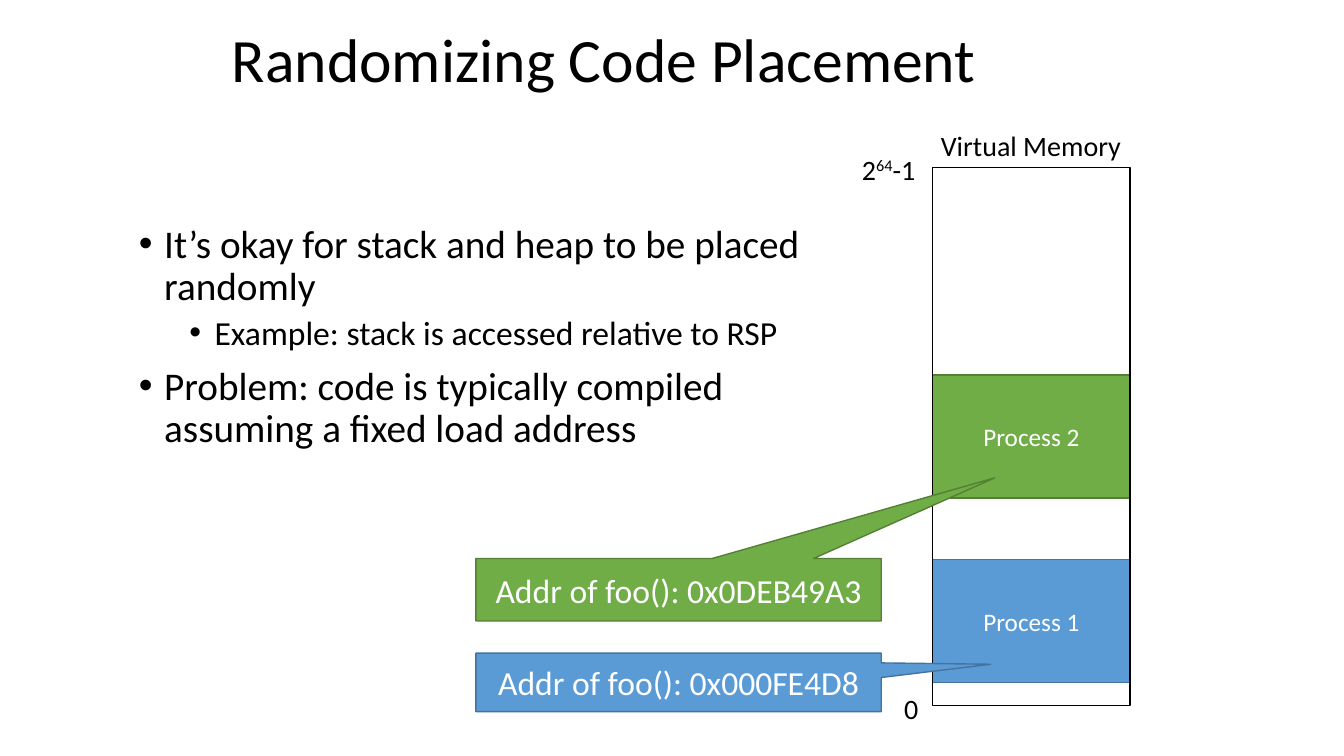
from dataclasses import dataclass

import pptx
import pptx.util
import pptx.dml.color
import pptx.enum.shapes
import pptx.enum.text
import pptx.oxml.ns
import lxml.etree
from pptx.util import Inches

SHAPE = pptx.enum.shapes.MSO_SHAPE
ALIGN = pptx.enum.text.PP_ALIGN
ANCHOR = pptx.enum.text.MSO_ANCHOR
FIT = pptx.enum.text.MSO_AUTO_SIZE
FONT = "Calibri"
COLORS = {
    "black": "000000",
    "white": "FFFFFF",
    "blue": "5B9BD5",
    "navy": "43739E",
    "green": "70AD47",
    "moss": "538035",
}
MEM_LEFT, MEM_WIDTH = 9.25, 1.96


@dataclass
class Box:
    left: float
    top: float
    width: float
    height: float


@dataclass
class Block:
    box: Box
    line: str
    fill: str = ""
    text: str = ""
    size: int = 18
    tip: tuple[float, float] | None = None


@dataclass
class Label:
    box: Box
    texts: list[str]
    align: ALIGN = ALIGN.LEFT


@dataclass
class Bullet:
    text: str
    size: int
    indent: float
    before: int
    level: int = 0


def color(name: str) -> pptx.dml.color.RGBColor:
    return pptx.dml.color.RGBColor.from_string(COLORS[name])


def span(box: Box) -> list[int]:
    return [Inches(n) for n in (box.left, box.top, box.width, box.height)]


def style(para, size: int, shade: str, align: ALIGN) -> None:
    para.alignment = align
    para.font.name = FONT
    para.font.size = pptx.util.Pt(size)
    para.font.color.rgb = color(shade)


def add_title(slide, text: str, box: Box) -> None:
    title = slide.shapes.title
    title.left, title.top, title.width, title.height = span(box)
    frame = title.text_frame
    frame.text = text
    frame.auto_size = FIT.NONE
    frame.vertical_anchor = ANCHOR.MIDDLE
    style(frame.paragraphs[0], 44, "black", ALIGN.LEFT)
    frame.paragraphs[0].line_spacing = 0.9


def add_bullets(slide, bullets: list[Bullet], box: Box) -> None:
    frame = slide.shapes.add_textbox(*span(box)).text_frame
    frame.word_wrap = True
    frame.vertical_anchor = ANCHOR.MIDDLE
    for i, item in enumerate(bullets):
        para = frame.add_paragraph() if i else frame.paragraphs[0]
        para.text = item.text
        para.level = item.level
        style(para, item.size, "black", ALIGN.LEFT)
        para.line_spacing = 0.9
        para.space_before = pptx.util.Pt(item.before)
        props = para._p.get_or_add_pPr()
        props.set("marL", str(Inches(item.indent)))
        props.set("indent", str(Inches(-0.25)))
        face = pptx.oxml.ns.qn("a:buFont")
        mark = pptx.oxml.ns.qn("a:buChar")
        # Bullet marks must stand before the default run properties
        rest = props.find(pptx.oxml.ns.qn("a:defRPr"))
        for tag, key, value in ((face, "typeface", "Arial"), (mark, "char", "•")):
            node = lxml.etree.SubElement(props, tag)
            node.set(key, value)
            if rest is not None:
                rest.addprevious(node)


def add_label(slide, label: Label) -> None:
    """Write the texts in turn; every second one is raised."""
    frame = slide.shapes.add_textbox(*span(label.box)).text_frame
    frame.word_wrap = False
    frame.auto_size = FIT.SHAPE_TO_FIT_TEXT
    para = frame.paragraphs[0]
    style(para, 20, "black", label.align)
    for i, text in enumerate(label.texts):
        run = para.add_run()
        run.text = text
        if i % 2:
            run.font._element.set("baseline", "30000")


def add_block(slide, block: Block) -> None:
    """Draw a rectangle, or a callout if the block has a tip."""
    kind = SHAPE.RECTANGULAR_CALLOUT if block.tip else SHAPE.RECTANGLE
    shape = slide.shapes.add_shape(kind, *span(block.box))
    shape.shadow.inherit = False
    shape.line.color.rgb = color(block.line)
    shape.line.width = pptx.util.Pt(1)
    if block.tip:
        shape.adjustments[0], shape.adjustments[1] = block.tip
    if block.fill:
        shape.fill.solid()
        shape.fill.fore_color.rgb = color(block.fill)
    else:
        shape.fill.background()
    if block.text:
        frame = shape.text_frame
        frame.text = block.text
        frame.word_wrap = True
        frame.vertical_anchor = ANCHOR.MIDDLE
        style(frame.paragraphs[0], block.size, "white", ALIGN.CENTER)


BULLETS = [
    Bullet("It’s okay for stack and heap to be placed randomly", 28, 0.25, 10),
    Bullet("Example: stack is accessed relative to RSP", 24, 0.75, 5, 1),
    Bullet("Problem: code is typically compiled assuming a fixed load address",
           28, 0.25, 10),
]
LABELS = [
    Label(Box(8.87, 6.81, 0.34, 0.44), ["0"]),
    Label(Box(8.45, 1.46, 0.76, 0.44), ["2", "64", "-1"]),
    Label(Box(9.2, 1.23, 2.05, 0.44), ["Virtual Memory"], ALIGN.CENTER),
]
BLOCKS = [
    Block(Box(MEM_LEFT, 5.55, MEM_WIDTH, 1.22), "navy", "blue", "Process 1"),
    Block(Box(MEM_LEFT, 3.72, MEM_WIDTH, 1.22), "moss", "green", "Process 2"),
    Block(Box(MEM_LEFT, 1.66, MEM_WIDTH, 5.34), "black"),
    Block(Box(4.72, 6.48, 4.02, 0.58), "navy", "blue",
          "Addr of foo(): 0x000FE4D8", 24, (0.77, -0.31)),
    Block(Box(4.72, 5.54, 4.02, 0.62), "moss", "green",
          "Addr of foo(): 0x0DEB49A3", 24, (0.78, -1.79)),
]


def main() -> None:
    deck = pptx.Presentation()
    deck.slide_width, deck.slide_height = Inches(13.33), Inches(7.5)
    slide = deck.slides.add_slide(deck.slide_layouts[5])
    add_title(slide, "Randomizing Code Placement", Box(2.2, 0, 9, 1.25))
    add_bullets(slide, BULLETS, Box(1.28, 1.75, 7.11, 3.2))
    for label in LABELS:
        add_label(slide, label)
    for block in BLOCKS:
        add_block(slide, block)
    deck.save("out.pptx")


if __name__ == "__main__":
    main()
